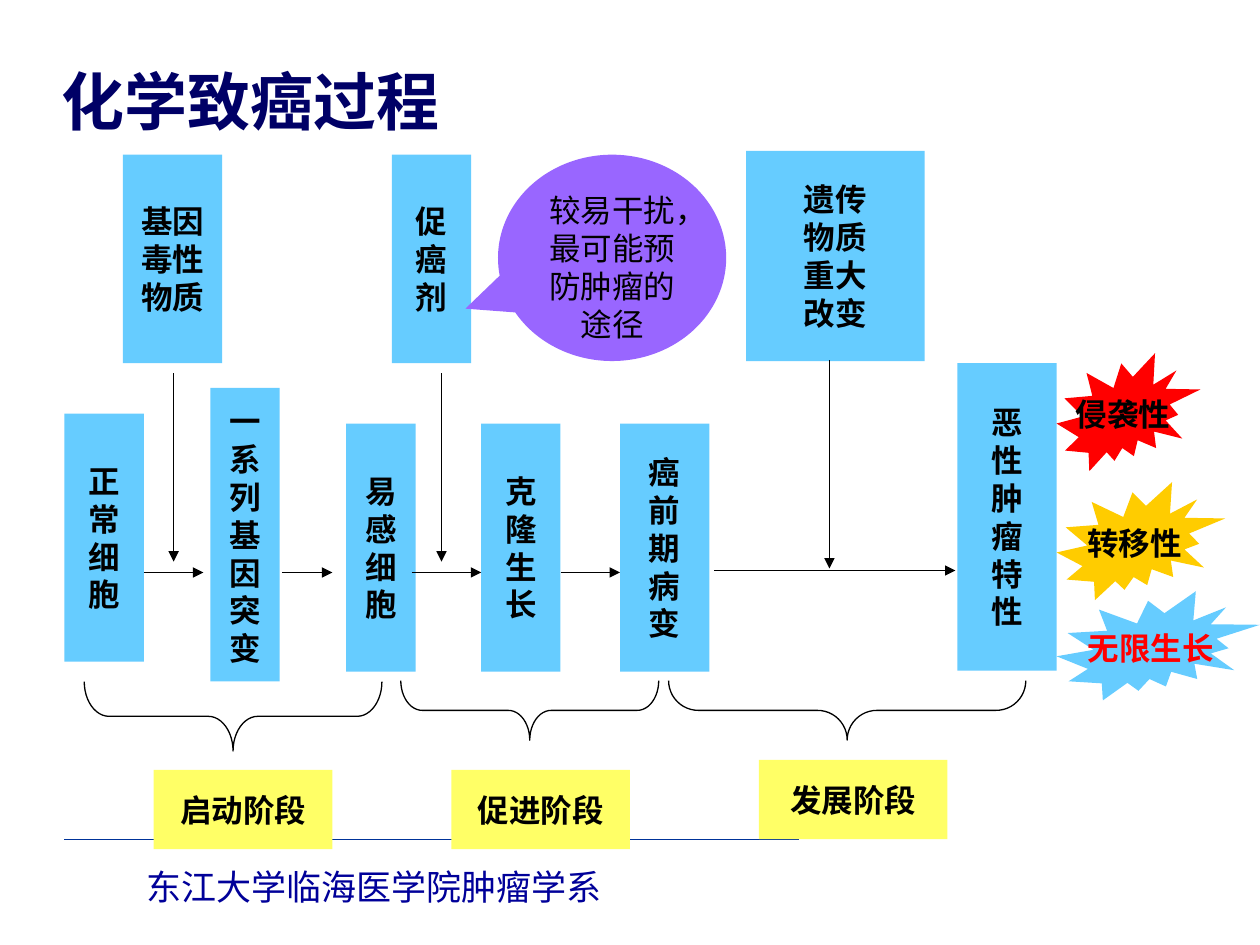
from lxml.etree import SubElement
from pptx import Presentation
from pptx.dml.color import RGBColor
from pptx.enum.shapes import MSO_CONNECTOR, MSO_SHAPE
from pptx.enum.text import MSO_ANCHOR, PP_ALIGN
from pptx.oxml.ns import qn
from pptx.util import Inches, Mm, Pt

BLACK = RGBColor(0x00, 0x00, 0x00)
RED = RGBColor(0xFF, 0x00, 0x00)
SKY = RGBColor(0x66, 0xCC, 0xFF)
YELLOW = RGBColor(0xFF, 0xFF, 0x66)
AMBER = RGBColor(0xFF, 0xCC, 0x00)
PURPLE = RGBColor(0x99, 0x66, 0xFF)
NAVY = RGBColor(0x00, 0x00, 0x66)
FOOTER_BLUE = RGBColor(0x00, 0x00, 0x99)
RULE_BLUE = RGBColor(0x00, 0x33, 0x99)

BURST_LEFT = 106.5

# Each stage has its left and top; the boxes inside are offsets from there:
# (lines, x, y, w, h) for boxes, (x1, y1, x2, y2) for arrows.
STAGES = [
    dict(origin=(6.5, 15),
         boxes=[("正常细胞", 0, 26.7, 8, 25),
                ("一系列基因突变", 14.7, 24.1, 7, 29.6),
                (["基因", "毒性", "物质"], 5.9, 0.6, 10, 21)],
         arrows=[(8, 42.7, 14, 42.7), (21.9, 42.7, 27, 42.7),
                 (11, 22.6, 11, 41.6)],
         brace=(2, 53.7, 30, 7), curl=0.357,
         label=(["启动阶段"], 9, 62.6, 18, 8)),
    dict(origin=(34.9, 15),
         boxes=[("易感细胞", 0, 27.7, 7, 25),
                ("克隆生长", 13.6, 27.7, 8, 25),
                ("促癌剂", 4.6, 0.6, 8, 21)],
         arrows=[(6.6, 42.7, 13.6, 42.7), (21.6, 42.7, 27.6, 42.7),
                 (9.6, 22.6, 9.6, 41.6)],
         brace=(5.5, 53.6, 26, 6), curl=0.36,
         label=(["促进阶段"], 10.6, 62.6, 18, 8)),
    dict(origin=(62.5, 15),
         boxes=[("癌前期病变", 0, 27.7, 9, 25),
                ("恶性肿瘤特性", 34, 21.6, 10, 31),
                (["遗传", "物质", "重大", "改变"], 12.7, 0.2, 18, 21.2)],
         arrows=[(9.5, 42.5, 33.8, 42.5), (21.1, 21.3, 21.1, 42.3)],
         brace=(4.9, 53.6, 36, 6), curl=0.499,
         label=(["发展阶段"], 14, 61.6, 19, 8)),
]

TRAITS = [("侵袭性", 35.6, 14.5, 11.9, RED, BLACK),
          ("转移性", 48.6, 17, 11.9, AMBER, BLACK),
          ("无限生长", 59.6, 20.5, 11, SKY, RED)]


def grid(*cells):
    """Turn counts of 2 mm grid cells into lengths."""
    return [Mm(2 * n) for n in cells]


def style_text(tf, size, color, bold=False, name="Arial", align=PP_ALIGN.CENTER):
    for p in tf.paragraphs:
        p.alignment = align
        p.font.size, p.font.bold, p.font.name = Pt(size), bold, name
        p.font.color.rgb = color


def add_filled(s, kind, box, fill, lines, color=BLACK, bold=True):
    sp = s.shapes.add_shape(kind, *grid(*box))
    sp.shadow.inherit = False
    sp.fill.solid()
    sp.fill.fore_color.rgb = fill
    sp.line.fill.background()
    tf = sp.text_frame
    tf.text = "\n".join(lines)
    tf.word_wrap = False
    tf.vertical_anchor = MSO_ANCHOR.MIDDLE
    style_text(tf, 18, color, bold)
    return sp


def add_line(s, ends, color=BLACK, arrow=True):
    line = s.shapes.add_connector(MSO_CONNECTOR.STRAIGHT, *grid(*ends))
    line.line.color.rgb = color
    line.line.width = Pt(0.75)
    if arrow:
        SubElement(line.line._get_or_add_ln(), qn("a:tailEnd"), type="triangle")
    SubElement(line._element.spPr, qn("a:effectLst"))


def add_brace(s, box, curl):
    """Draw a brace that opens upwards and fills the box."""
    x, y, w, h = box
    turned = (x + (w - h) / 2, y + (h - w) / 2, h, w)
    sp = s.shapes.add_shape(MSO_SHAPE.LEFT_BRACE, *grid(*turned))
    sp.rotation = 270
    sp.adjustments[0] = curl
    sp.shadow.inherit = False
    sp.fill.background()
    sp.line.color.rgb = BLACK
    sp.line.width = Pt(0.75)


def add_title(s, box):
    title = s.shapes.title
    title.left, title.top, title.width, title.height = grid(*box)
    tf = title.text_frame
    tf.text = "化学致癌过程"
    tf.vertical_anchor = MSO_ANCHOR.MIDDLE
    tf.margin_left = tf.margin_right = Inches(0.49)
    style_text(tf, 36, NAVY, True, "Noto Sans CJK SC", PP_ALIGN.LEFT)


def add_footer(s, box):
    x, y, w, h = box
    add_line(s, (x, y, x + w, y), RULE_BLUE, arrow=False)
    tf = s.shapes.add_textbox(*grid(x + 7, y + 2, 49, h - 2)).text_frame
    tf.text = "东江大学临海医学院肿瘤学系"
    tf.word_wrap = True
    style_text(tf, 20, FOOTER_BLUE, align=PP_ALIGN.LEFT)


def add_stage(s, origin, boxes, arrows, brace, curl, label):
    left, top = origin
    for lines, x, y, w, h in boxes:
        add_filled(s, MSO_SHAPE.RECTANGLE, (left + x, top + y, w, h), SKY, lines)
    for x1, y1, x2, y2 in arrows:
        add_line(s, (left + x1, top + y1, left + x2, top + y2))
    x, y, w, h = brace
    add_brace(s, (left + x, top + y, w, h), curl)
    lines, x, y, w, h = label
    add_filled(s, MSO_SHAPE.RECTANGLE, (left + x, top + y, w, h), YELLOW, lines)


def add_traits(s, left):
    for text, y, w, h, fill, color in TRAITS:
        add_filled(s, MSO_SHAPE.EXPLOSION2, (left, y, w, h), fill, [text], color)


def add_callout(s, box):
    sp = add_filled(s, MSO_SHAPE.OVAL_CALLOUT, box, PURPLE,
                    ["较易干扰，最可能预防肿瘤的途径"], bold=False)
    sp.adjustments[0], sp.adjustments[1] = -0.643, 0.246
    sp.text_frame.word_wrap = True
    sp.text_frame.vertical_anchor = MSO_ANCHOR.TOP


def main():
    prs = Presentation()
    prs.slide_width, prs.slide_height = Inches(10), Inches(7.5)
    s = prs.slides.add_slide(prs.slide_layouts[5])
    add_footer(s, (6.5, 84.6, 74, 7.5))
    add_title(s, (0, 2.2, 114.3, 15.9))
    for stage in STAGES:
        add_stage(s, **stage)
    add_traits(s, BURST_LEFT)
    add_callout(s, (50.2, 15.6, 23, 20.8))
    prs.save("out.pptx")


if __name__ == "__main__":
    main()
